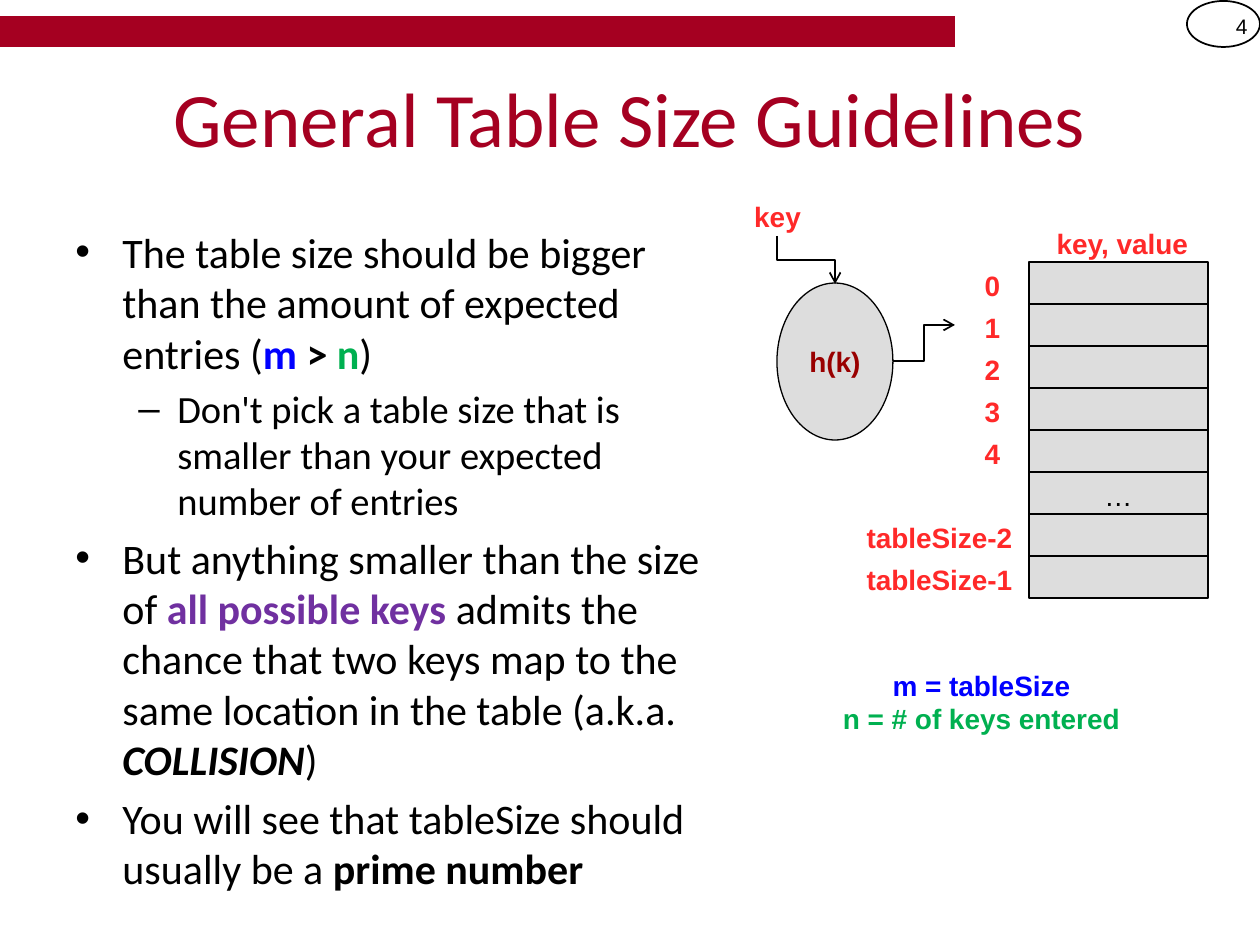
from lxml import etree
from pptx import Presentation, util as u
from pptx.dml.color import RGBColor
from pptx.enum import shapes, text
from pptx.oxml.ns import qn

EMU_PER_PX = 914400 / 126
COLORS = dict(crimson="A50021", black="000000", blue="0000FF", green="00B050",
              purple="7030A0", gray="DDDDDD", red="FF2929", maroon="990000")
ALIGN = dict(left=text.PP_ALIGN.LEFT, center=text.PP_ALIGN.CENTER, right=text.PP_ALIGN.RIGHT)
SHAPE = shapes.MSO_SHAPE


def px(value):
    return u.Emu(round(value * EMU_PER_PX))


def color(name):
    return RGBColor.from_string(COLORS[name])


def write(paragraph, words, size=16, font="Arial", fill="red", bold=False, italic=False, align="center"):
    paragraph.alignment = ALIGN[align]
    run = paragraph.add_run()
    run.text = words
    style = run.font
    style.size, style.name, style.bold, style.italic = u.Pt(size), font, bold, italic
    style.color.rgb = color(fill)


class Slide:
    def __init__(self, deck):
        self.shapes = deck.slides.add_slide(deck.slide_layouts[6]).shapes

    def shape(self, kind, box, fill=None, line=None, width=0.75):
        item = self.shapes.add_shape(kind, *map(px, box))
        item.shadow.inherit = False
        if fill:
            item.fill.solid()
            item.fill.fore_color.rgb = color(fill)
        else:
            item.fill.background()
        if line:
            item.line.color.rgb = color(line)
            item.line.width = u.Pt(width)
        else:
            item.line.fill.background()
        return item

    def frame(self, box, middle=False):
        frame = self.shapes.add_textbox(*map(px, box)).text_frame
        frame.word_wrap = True
        frame.vertical_anchor = text.MSO_ANCHOR.MIDDLE if middle else text.MSO_ANCHOR.TOP
        return frame

    def label(self, box, words, middle=False, **style):
        write(self.frame(box, middle).paragraphs[0], words, **style)

    def bullet(self, paragraph, runs, mark, size, indent, hang):
        paragraph.space_before = u.Pt(size * 0.2)
        props = paragraph._p.get_or_add_pPr()
        props.set("marL", str(px(indent)))
        props.set("indent", str(-px(hang)))
        etree.SubElement(props, qn("a:buFont"), typeface="Arial")
        etree.SubElement(props, qn("a:buChar"), char=mark)
        for words, style in runs:
            write(paragraph, words, **{**dict(size=size, font="Calibri", fill="black", align="left"), **style})

    def elbow_arrow(self, start, end, rotation=0):
        arrow = self.shapes.add_connector(shapes.MSO_CONNECTOR.ELBOW, *map(px, start + end))
        arrow.line.color.rgb = color("black")
        arrow.line.width = u.Pt(1)
        etree.SubElement(arrow.line._get_or_add_ln(), qn("a:tailEnd"), type="arrow")
        props = arrow._element.spPr
        etree.SubElement(props, qn("a:effectLst"))
        if rotation:
            props.find(qn("a:xfrm")).set("rot", str(rotation * 60000))


deck = Presentation()
deck.slide_width, deck.slide_height = px(1260), px(945)
slide = Slide(deck)

# Header band, page number and title
slide.shape(SHAPE.RECTANGLE, (0, 16, 955, 31), fill="crimson")
slide.shape(SHAPE.OVAL, (1187, 1, 73, 46), line="black", width=1)
slide.label((1187, 1, 73, 50), "4", middle=True, size=12, fill="black", align="right")
slide.label((63, 38, 1134, 157), "General Table Size Guidelines", middle=True,
            size=44, font="Calibri", fill="crimson")

# Guidelines
BOLD = dict(bold=True)
MAIN = ("•", 24, 47, 47)
SUB = ("–", 22, 102, 39)
guidelines = [
    (MAIN, [("The table size should be bigger than the amount of expected entries (", {}),
            ("m ", dict(bold=True, fill="blue")), ("> ", BOLD),
            ("n", dict(bold=True, fill="green")), (")", {})]),
    (SUB, [("Don't pick a table size that is smaller than your expected number of entries", {})]),
    (MAIN, [("But anything smaller than the size of ", {}),
            ("all possible keys ", dict(bold=True, fill="purple")),
            ("admits the chance that two keys map to the same location in the table (a.k.a. ", {}),
            ("COLLISION", dict(bold=True, italic=True)), (")", {})]),
    (MAIN, [("You will see that tableSize should usually be a ", {}), ("prime number", BOLD)]),
]
body = slide.frame((63, 220, 662, 624))
for number, (level, runs) in enumerate(guidelines):
    paragraph = body.add_paragraph() if number else body.paragraphs[0]
    slide.bullet(paragraph, runs, *level)

# Hash table: one row per index, labels to its left
ROW, TABLE_LEFT, TABLE_TOP, TABLE_WIDTH = 42, 1029, 262, 179
indices = ["0", "1", "2", "3", "4", "…", "tableSize-2", "tableSize-1"]
for row, index in enumerate(indices):
    top = TABLE_TOP + row * ROW
    cell = (TABLE_LEFT, top, TABLE_WIDTH, ROW)
    slide.shape(SHAPE.RECTANGLE, cell, fill="gray", line="black")
    if index == "…":
        slide.label(cell, index, fill="black")
    else:
        width = 73 if index.isdigit() else TABLE_WIDTH
        slide.label((TABLE_LEFT - width, top, width, ROW), index, bold=True)
slide.label((TABLE_LEFT, TABLE_TOP - ROW, TABLE_WIDTH, ROW), " key, value", bold=True)

# Hash function with its input and output
slide.label((741, 193, 73, ROW), "key", bold=True)
hash_function = slide.shape(SHAPE.OVAL, (777, 283, 116, 157), fill="gray", line="black")
hash_function.text_frame.word_wrap = False
write(hash_function.text_frame.paragraphs[0], "h(k)", fill="maroon", bold=True)
slide.elbow_arrow((830, 231), (782, 289), rotation=270)
slide.elbow_arrow((893, 361), (955, 325))

# Legend
legend = slide.frame((798, 662, 367, 126))
write(legend.paragraphs[0], "m = tableSize", fill="blue", bold=True)
write(legend.add_paragraph(), "n = # of keys entered", fill="green", bold=True)

deck.save("out.pptx")
